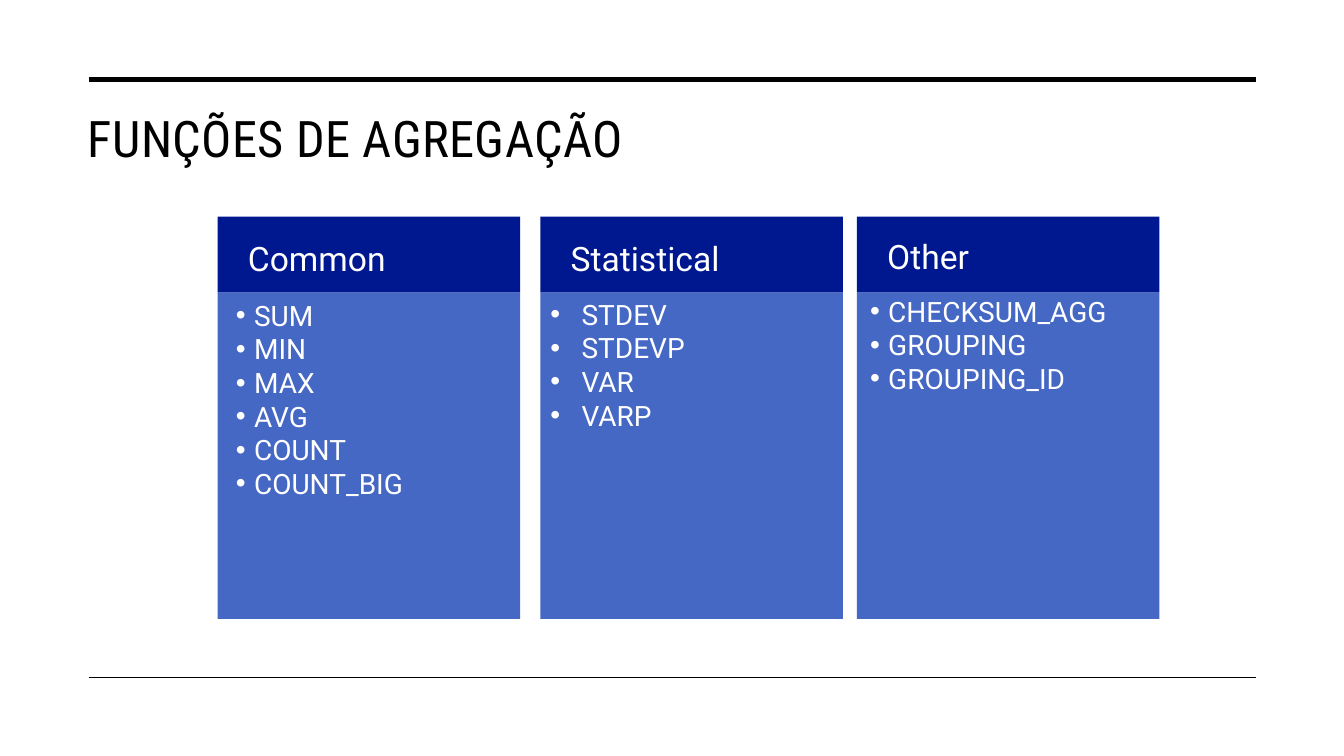
from dataclasses import dataclass

from lxml import etree
from pptx import Presentation
from pptx import util as u
from pptx.dml.color import RGBColor
from pptx.enum import shapes, text
from pptx.oxml.ns import qn


@dataclass(frozen=True)
class Theme:
    ink: RGBColor = RGBColor.from_string("000000")
    light: RGBColor = RGBColor.from_string("FFFFFF")
    heading_fill: RGBColor = RGBColor.from_string("00188F")
    panel_fill: RGBColor = RGBColor.from_string("4668C5")
    title_font: str = "Roboto Condensed"
    body_font: str = "Roboto"
    title_size: u.Pt = u.Pt(36)
    heading_size: u.Pt = u.Pt(24)
    item_size: u.Pt = u.Pt(20)


theme = Theme()


def write(frame, lines, font, size, color, anchor, insets, indent=0, spacing=None):
    left, top, right, bottom = map(u.Inches, insets)
    layout = dict(word_wrap=True, auto_size=text.MSO_AUTO_SIZE.NONE,
                  vertical_anchor=anchor, margin_left=left, margin_top=top,
                  margin_right=right, margin_bottom=bottom)
    for name, value in layout.items():
        setattr(frame, name, value)
    for number, line in enumerate(lines):
        paragraph = frame.add_paragraph() if number else frame.paragraphs[0]
        paragraph.alignment = text.PP_ALIGN.LEFT
        paragraph.line_spacing = spacing
        run = paragraph.add_run()
        run.text = line
        for name, value in dict(name=font, size=size, bold=False).items():
            setattr(run.font, name, value)
        run.font.color.rgb = color
        if indent:
            properties = paragraph._p.get_or_add_pPr()
            properties.set("marL", str(u.Inches(indent)))
            properties.set("indent", str(-u.Inches(indent)))
            etree.SubElement(properties, qn("a:buFont")).set("typeface", "Arial")
            etree.SubElement(properties, qn("a:buChar")).set("char", "•")


def add_block(kind, left, top, width, height, fill):
    block = slide.shapes.add_shape(kind, *map(u.Inches, (left, top, width, height)))
    block.shadow.inherit = False
    block.fill.solid()
    block.fill.fore_color.rgb = fill
    block.line.fill.background()
    return block


deck = Presentation()
deck.slide_width, deck.slide_height = u.Inches(13.33), u.Inches(7.5)
slide = deck.slides.add_slide(deck.slide_layouts[5])

for rule_y, weight in ((0.79, 3.5), (6.72, 1)):
    rule = slide.shapes.add_connector(
        shapes.MSO_CONNECTOR.STRAIGHT,
        u.Inches(0.88), u.Inches(rule_y), u.Inches(12.46), u.Inches(rule_y))
    rule.line.color.rgb = theme.ink
    rule.line.width = u.Pt(weight)
    etree.SubElement(rule._element.spPr, qn("a:effectLst"))

title = slide.shapes.title
title_place = dict(left=0.77, top=1.01, width=11.69, height=0.59)
for name, value in title_place.items():
    setattr(title, name, u.Inches(value))
write(title.text_frame, ["FUNÇÕES DE AGREGAÇÃO"], theme.title_font,
      theme.title_size, theme.ink, text.MSO_ANCHOR.TOP, (0.1, 0.05, 0.1, 0.05))
title.text_frame.paragraphs[0].runs[0].font._element.set("spc", "30")

column_width, heading_top, heading_height, panel_height = 3, 2.15, 0.75, 3.24
panel_top = heading_top + heading_height
no_insets = (0, 0, 0, 0)
columns = [
    dict(heading="Common", left=2.16, spacing=None, indent=0.18,
         list_place=(2.34, 2.96, 2.64, 2.98), insets=no_insets,
         functions=["SUM", "MIN", "MAX", "AVG", "COUNT", "COUNT_BIG"]),
    dict(heading="Statistical", left=5.36, spacing=None, indent=0.31,
         list_place=None, insets=(0.1, 0.05, 0.1, 0.05),
         functions=["STDEV", "STDEVP", "VAR", "VARP"]),
    dict(heading="Other", left=8.5, spacing=0.9, indent=0.18,
         list_place=(8.63, 2.92, 2.87, 2.96), insets=no_insets,
         functions=["CHECKSUM_AGG", "GROUPING", "GROUPING_ID"]),
]

for column in columns:
    panel = add_block(shapes.MSO_SHAPE.ROUNDED_RECTANGLE, column["left"], panel_top,
                      column_width, panel_height, theme.panel_fill)
    panel.adjustments[0] = 0
    heading = add_block(shapes.MSO_SHAPE.RECTANGLE, column["left"], heading_top,
                        column_width, heading_height, theme.heading_fill)
    write(heading.text_frame, [column["heading"]], theme.body_font,
          theme.heading_size, theme.light, text.MSO_ANCHOR.MIDDLE,
          (0.3, 0.12, 0.1, 0.05), spacing=column["spacing"])
    function_list = panel
    if column["list_place"]:
        function_list = slide.shapes.add_textbox(*map(u.Inches, column["list_place"]))
    write(function_list.text_frame, column["functions"], theme.body_font,
          theme.item_size, theme.light, text.MSO_ANCHOR.TOP,
          column["insets"], indent=column["indent"])

deck.save("out.pptx")
